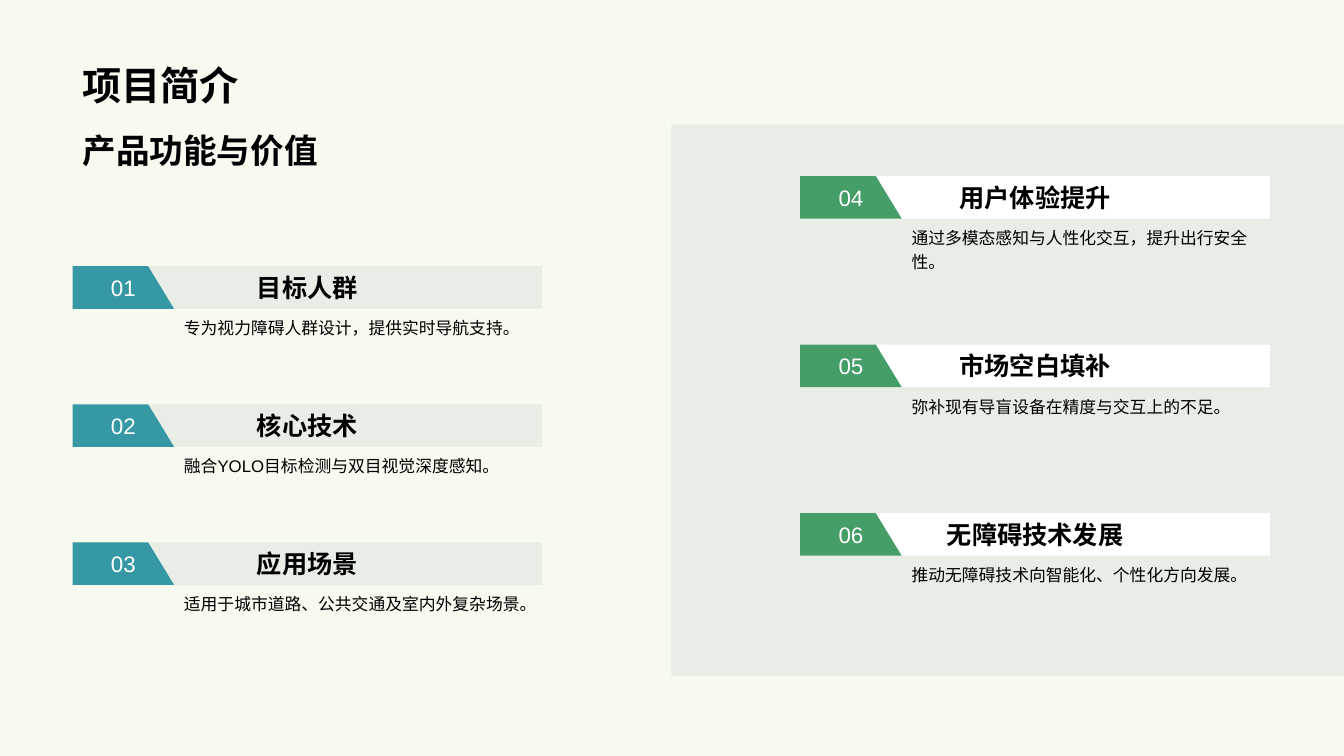
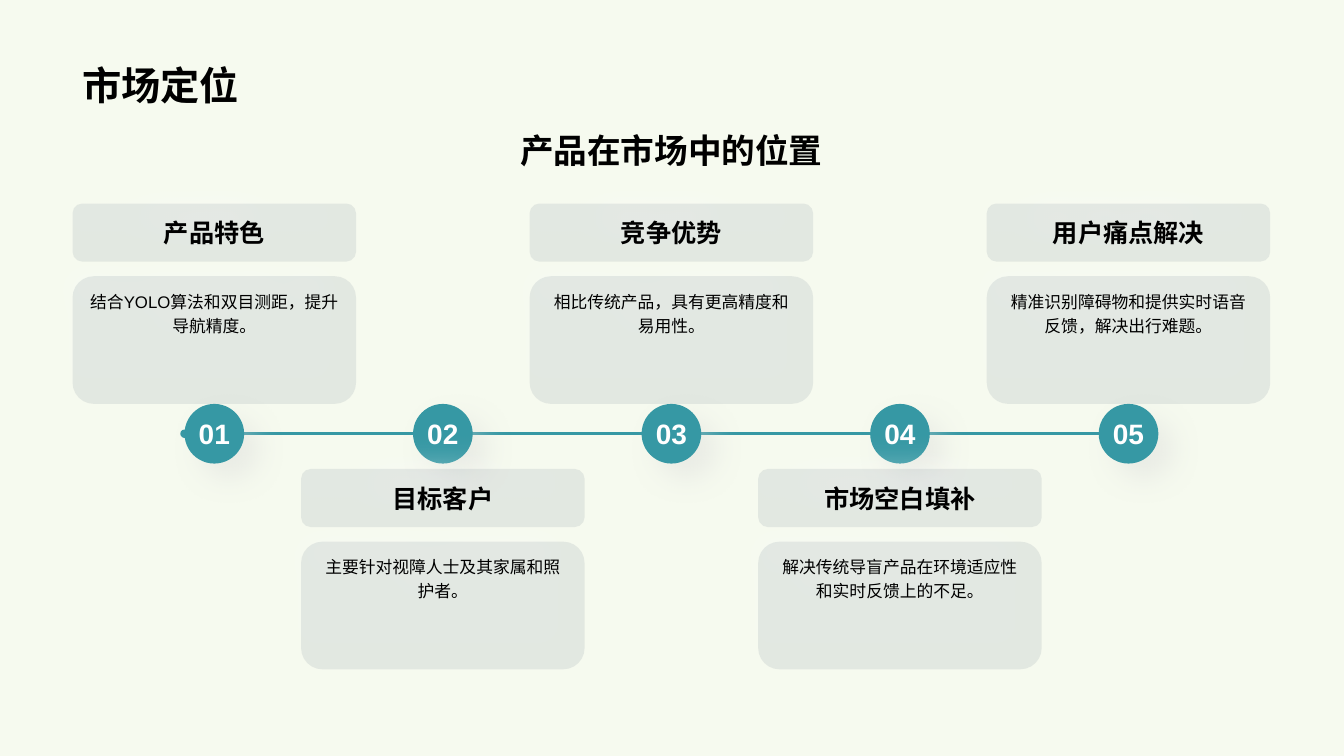
from lxml.etree import SubElement
from pptx import Presentation
from pptx.dml.color import RGBColor
from pptx.enum.shapes import MSO_CONNECTOR, MSO_SHAPE
from pptx.enum.text import MSO_ANCHOR, PP_ALIGN
from pptx.oxml.ns import qn
from pptx.util import Pt

INTRO = ("项目简介", "产品功能与价值")
MARKET = ("市场定位", "产品在市场中的位置")

LEFT = [
    ("目标人群", "专为视力障碍人群设计，提供实时导航支持。"),
    ("核心技术", "融合YOLO目标检测与双目视觉深度感知。"),
    ("应用场景", "适用于城市道路、公共交通及室内外复杂场景。"),
]
RIGHT = [
    ("用户体验提升", "通过多模态感知与人性化交互，提升出行安全性。"),
    ("市场空白填补", "弥补现有导盲设备在精度与交互上的不足。"),
    ("无障碍技术发展", "推动无障碍技术向智能化、个性化方向发展。"),
]
STEPS = [
    ("产品特色", "结合YOLO算法和双目测距，提升导航精度。"),
    ("目标客户", "主要针对视障人士及其家属和照护者。"),
    ("竞争优势", "相比传统产品，具有更高精度和易用性。"),
    ("市场空白填补", "解决传统导盲产品在环境适应性和实时反馈上的不足。"),
    ("用户痛点解决", "精准识别障碍物和提供实时语音反馈，解决出行难题。"),
]

FACE = "Arial"
THEME = {
    "back": "F6FAEF",
    "teal": "3698A4",
    "green": "459D67",
    "gray": "768394",
    "white": "FFFFFF",
    "black": "000000",
    "glow": {"tint": "FFFFFF", "alpha": 75, "angle": 225},
    "shade": {"tint": "D8D8D8", "alpha": 40, "angle": 45},
    "title": {"name": FACE, "size": Pt(28), "bold": True},
    "lead": {"name": FACE, "size": Pt(24), "bold": True},
    "mark": {"name": FACE, "size": Pt(20), "bold": True},
    "head": {"name": FACE, "size": Pt(18), "bold": True},
    "tag": {"name": FACE, "size": Pt(16), "bold": False},
    "body": {"name": FACE, "size": Pt(12), "bold": False},
}

MID = {"vertical_anchor": MSO_ANCHOR.MIDDLE, "word_wrap": True}
TOP = {"vertical_anchor": MSO_ANCHOR.TOP, "word_wrap": True}
LOW = {"vertical_anchor": MSO_ANCHOR.BOTTOM, "word_wrap": True}
CENTER = {"alignment": PP_ALIGN.CENTER}
START = {"alignment": PP_ALIGN.LEFT}
LOOSE = {"line_spacing": 1.2}

EDGE, SPAN = 51.84, 855.5


def tone(key):
    return RGBColor.from_string(THEME[key])


def apply(item, form):
    for key, value in form.items():
        setattr(item, key, value)


def write(shape, text, style, para, frame, color="black"):
    body = shape.text_frame
    apply(body, frame)
    line = body.paragraphs[0]
    apply(line, para)
    run = line.add_run()
    run.text = text
    apply(run.font, THEME[style])
    run.font.color.rgb = tone(color)


def paint(shape, color, alpha=100):
    shape.shadow.inherit = False
    shape.line.fill.background()
    shape.fill.solid()
    shape.fill.fore_color.rgb = tone(color)
    if alpha < 100:
        node = shape.fill._xPr.find(".//" + qn("a:srgbClr"))
        SubElement(node, qn("a:alpha"), val=str(alpha * 1000))
    return shape


def cast(shape, key):
    form = THEME[key]
    root = shape._element.spPr.find(qn("a:effectLst"))
    node = SubElement(
        root, qn("a:outerShdw"), blurRad=str(Pt(20)), dist=str(Pt(15)),
        dir=str(form["angle"] * 60000), algn="ctr", rotWithShape="0")
    tint = SubElement(node, qn("a:srgbClr"), val=form["tint"])
    SubElement(tint, qn("a:alpha"), val=str(form["alpha"] * 1000))


def block(slide, kind, box, color, alpha=100):
    shape = slide.shapes.add_shape(kind, *map(Pt, box))
    return paint(shape, color, alpha)


def label(slide, box, text, style, para, frame=TOP):
    shape = slide.shapes.add_textbox(*map(Pt, box))
    write(shape, text, style, para, frame)


def start(deck, names, para):
    slide = deck.slides.add_slide(deck.slide_layouts[6])
    title, lead = names
    label(slide, (EDGE, 10, SPAN, 70.6), title, "title", START, LOW)
    label(slide, (EDGE, 89.3, SPAN, 56), lead, "lead", para)
    return slide


def entry(slide, x, y, num, item, color, bar, alpha):
    wide, high, cut, tip = 335.5, 30.4, 54, 72.5
    head, text = item
    strip = block(slide, MSO_SHAPE.RECTANGLE, (x, y, wide, high), bar, alpha)
    write(strip, head, "head", CENTER, MID)
    path = slide.shapes.build_freeform(Pt(x), Pt(y), scale=1.0)
    ends = [(x + cut, y), (x + tip, y + high), (x, y + high)]
    path.add_line_segments([(Pt(a), Pt(b)) for a, b in ends], close=True)
    tag = paint(path.convert_to_shape(), color)
    write(tag, f"{num:02}", "tag", CENTER, MID, "white")
    label(slide, (x + tip, y + high, wide - tip, 60), text, "body",
          START | LOOSE)


def intro(deck):
    slide = start(deck, INTRO, START)
    block(slide, MSO_SHAPE.RECTANGLE, (479.5, 89, 480.5, 393.8), "gray", 10)
    sides = [
        (LEFT, EDGE, 190.2, 98.6, "teal", "gray", 10),
        (RIGHT, 571.6, 125.8, 120.4, "green", "white", 100),
    ]
    num = 0
    for items, x, top, gap, color, bar, alpha in sides:
        for row, item in enumerate(items):
            num += 1
            entry(slide, x, top + row * gap, num, item, color, bar, alpha)


def card(slide, box, text, style, para, frame):
    shape = block(slide, MSO_SHAPE.ROUNDED_RECTANGLE, box, "gray", 15)
    cast(shape, "glow")
    write(shape, text, style, para, frame)


def market(deck):
    slide = start(deck, MARKET, CENTER)
    wide, pitch, size, axis = 202.5, 163.25, 42.6, 309.8
    line = slide.shapes.add_connector(
        MSO_CONNECTOR.STRAIGHT, Pt(EDGE), Pt(axis), Pt(EDGE + SPAN), Pt(axis))
    line.line.color.rgb = tone("teal")
    line.line.width = Pt(2)
    SubElement(line.line._get_or_add_ln(), qn("a:headEnd"), type="oval")
    SubElement(line._element.spPr, qn("a:effectLst"))
    dots = []
    for col, (head, text) in enumerate(STEPS):
        x = EDGE + col * pitch
        y = 145.4 + col % 2 * 189.6
        card(slide, (x, y + 51.9, wide, 91.2), text, "body",
             CENTER | LOOSE, TOP)
        dot = block(slide, MSO_SHAPE.ROUNDED_RECTANGLE,
                    (x + (wide - size) / 2, axis - size / 2, size, size),
                    "teal")
        dot.adjustments[0] = 0.5
        cast(dot, "shade")
        write(dot, f"{col + 1:02}", "mark", CENTER,
              MID | {"word_wrap": False}, "white")
        dots.append(dot)
        card(slide, (x, y, wide, 41.5), head, "head", CENTER, MID)
    line.begin_connect(dots[0], 1)
    line.end_connect(dots[-1], 3)


def main():
    deck = Presentation()
    apply(deck, {"slide_width": Pt(960), "slide_height": Pt(540)})
    fill = deck.slide_master.background.fill
    fill.solid()
    fill.fore_color.rgb = tone("back")
    intro(deck)
    market(deck)
    deck.save("out.pptx")


if __name__ == "__main__":
    main()
